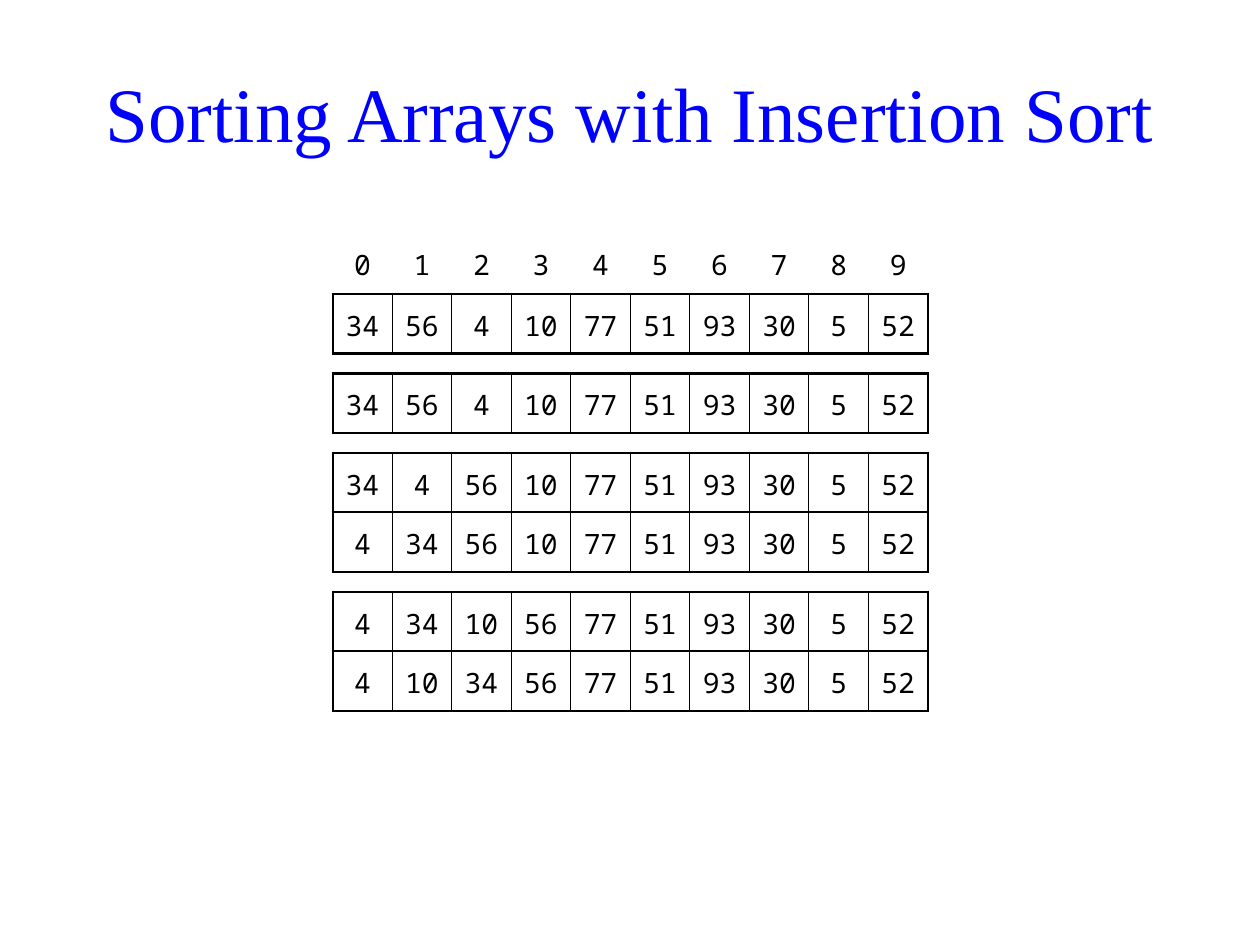
from pptx import Presentation
from pptx.dml.color import RGBColor
from pptx.enum.text import MSO_ANCHOR as Anchor, MSO_AUTO_SIZE as AutoSize, PP_ALIGN as Align
from pptx.oxml.ns import qn
from pptx.util import Pt
from lxml.etree import SubElement

COLORS = {"title": "0000FF", "ink": "000000", "paper": "FFFFFF"}
NO_STYLE = "{2D5ABB26-0587-4C30-8999-92F81FD0307C}"
LEFT, TOP = 190.08, 134
CELL, GAP = 34.02, 11.34
OUTER, INNER = 1.5, 0.75


class SortSlide:
    title_font = {"name": "Times New Roman", "size": Pt(44), "bold": False}
    cell_font = {"name": "Noto Sans Mono", "size": Pt(16), "bold": False}

    def __init__(self, deck):
        self.page = deck.slides.add_slide(deck.slide_layouts[5])
        fill = self.page.background.fill
        fill.solid()
        fill.fore_color.rgb = RGBColor.from_string(COLORS["paper"])

    def add_text(self, frame, text, font, color):
        para = frame.paragraphs[0]
        para.alignment = Align.CENTER
        span = para.add_run()
        span.text = text
        for key, value in font.items():
            setattr(span.font, key, value)
        span.font.color.rgb = RGBColor.from_string(COLORS[color])

    def title(self, text, left, top, width, height):
        box = self.page.shapes.title
        places = {"left": left, "top": top, "width": width, "height": height}
        for key, value in places.items():
            setattr(box, key, Pt(value))
        frame = box.text_frame
        frame.word_wrap = True
        frame.auto_size = AutoSize.NONE
        frame.vertical_anchor = Anchor.MIDDLE
        self.add_text(frame, text, self.title_font, "title")

    def border(self, cell, widths):
        props = cell._tc.get_or_add_tcPr()
        for side in "LRTB":
            if side in widths:
                line = SubElement(props, qn(f"a:ln{side}"), w=str(Pt(widths[side])))
                fill = SubElement(line, qn("a:solidFill"))
                SubElement(fill, qn("a:srgbClr"), val=COLORS["ink"])

    def cell(self, cell, text, widths, boxed):
        margins = {"margin_left": 6, "margin_right": 6,
                   "margin_top": 3.6, "margin_bottom": 1.44 if boxed else 3.6}
        for key, value in margins.items():
            setattr(cell, key, Pt(value))
        cell.vertical_anchor = Anchor.MIDDLE
        self.border(cell, widths)
        if boxed:
            cell.fill.solid()
            cell.fill.fore_color.rgb = RGBColor.from_string(COLORS["paper"])
        else:
            cell.fill.background()
        self.add_text(cell.text_frame, text, self.cell_font, "ink")

    def array(self, top, values, labels=None):
        rows = [labels, values] if labels else [values]
        count = len(values)
        table_frame = self.page.shapes.add_table(
            len(rows), count, Pt(LEFT), Pt(top), Pt(CELL * count), Pt(CELL * len(rows)))
        table = table_frame.table
        table.first_row = table.horz_banding = False
        table._tbl.tblPr.find(qn("a:tableStyleId")).text = NO_STYLE
        for column in table.columns:
            column.width = Pt(CELL)
        for row, items in zip(table.rows, rows):
            row.height = Pt(CELL)
            boxed = items is values
            for index, (cell, item) in enumerate(zip(row.cells, items)):
                widths = {"B": OUTER}
                if boxed:
                    widths.update(T=OUTER, L=OUTER if index == 0 else INNER,
                                  R=OUTER if index == count - 1 else INNER)
                self.cell(cell, str(item), widths, boxed)


deck = Presentation()
deck.slide_width, deck.slide_height = Pt(720), Pt(540)
slide = SortSlide(deck)
slide.title("Sorting Arrays with Insertion Sort", 33.84, 28.8, 652.32, 70.56)

# Array states, grouped by insertion pass; the tail is still unsorted
TAIL = [77, 51, 93, 30, 5, 52]
PASSES = [
    [[34, 56, 4, 10]],
    [[34, 56, 4, 10]],
    [[34, 4, 56, 10], [4, 34, 56, 10]],
    [[4, 34, 10, 56], [4, 10, 34, 56]],
]

# Tables from top to bottom, the first with its index row
top, labels = TOP, range(10)
for states in PASSES:
    for head in states:
        slide.array(top, head + TAIL, labels)
        top += CELL * (2 if labels else 1)
        labels = None
    top += GAP

deck.save("out.pptx")
